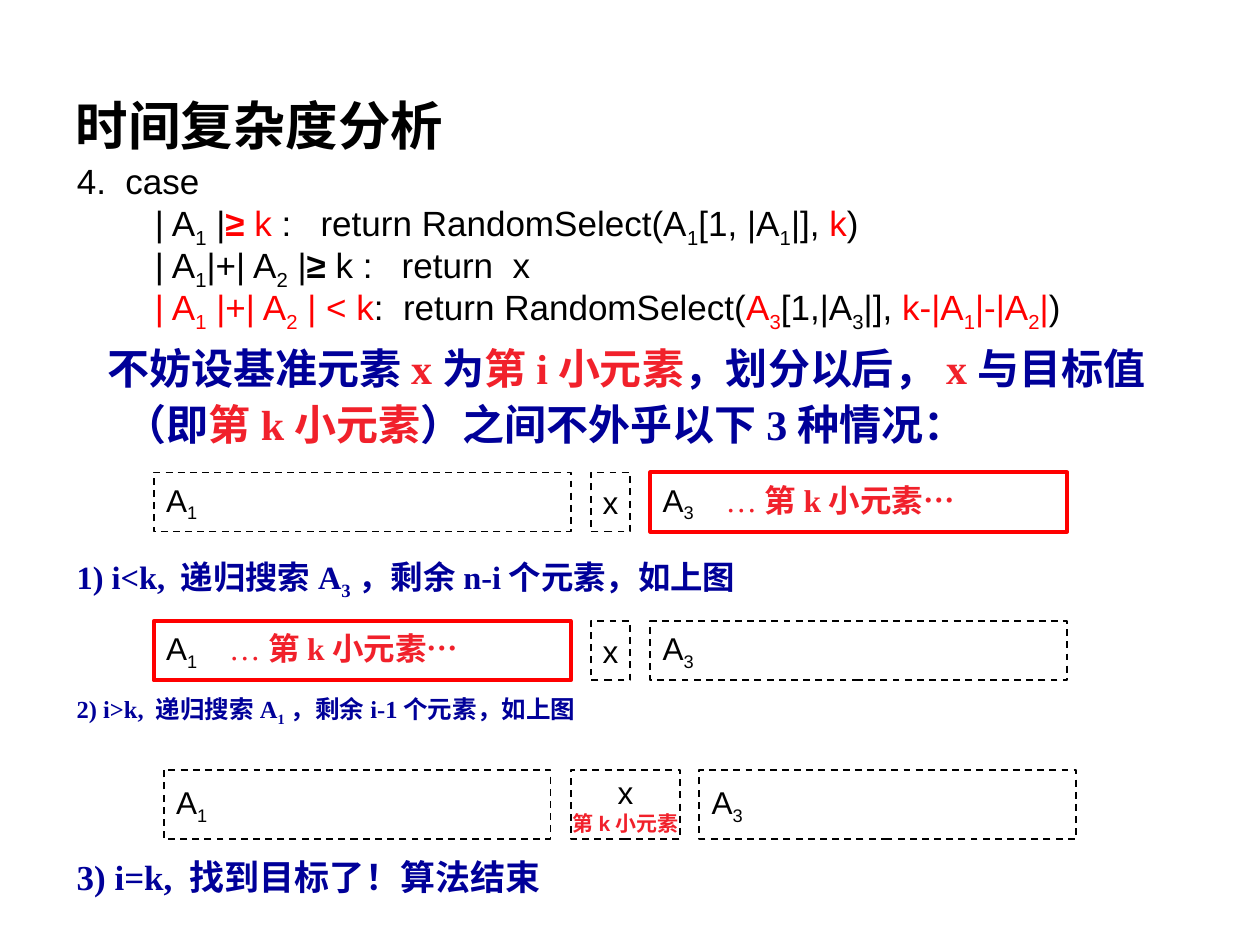
from lxml import etree
from pptx import Presentation, util as u
from pptx.dml.color import RGBColor
from pptx.enum import dml, shapes, text
from pptx.oxml.ns import qn

BLACK, RED, CRIMSON, NAVY = "000000", "FF0000", "F1212B", "000099"
ARIAL, TIMES, CJK = "Arial", "Times New Roman", "Noto Sans CJK SC"


def color(value):
    return RGBColor.from_string(value)


def write(p, runs, size=18, font=ARIAL, fill=BLACK, bold=False, left=0, indent=0,
          spacing=1.0, before=0, align=text.PP_ALIGN.LEFT, tab=None):
    p.alignment = align
    p.line_spacing = spacing
    p.space_before = u.Pt(before)
    pPr = p._p.get_or_add_pPr()
    pPr.set("marL", str(u.Inches(left)))
    pPr.set("indent", str(u.Inches(indent)))
    etree.SubElement(pPr, qn("a:buNone"))
    if tab:
        tabs = etree.SubElement(pPr, qn("a:tabLst"))
        etree.SubElement(tabs, qn("a:tab"), pos=str(u.Inches(tab)), algn="l")
    for item in runs:
        words, own = item if isinstance(item, tuple) else (item, {})
        if words == "\n":
            p.add_line_break()
            continue
        r = p.add_run()
        r.text = words
        r.font.size = u.Pt(own.get("size", size))
        r.font.name = own.get("font", font)
        r.font.bold = own.get("bold", bold)
        r.font.color.rgb = color(own.get("fill", fill))
        rPr = r._r.get_or_add_rPr()
        etree.SubElement(rPr, qn("a:ea"), typeface=CJK)
        if own.get("sub"):
            rPr.set("baseline", "-25000")


prs = Presentation()
prs.slide_width, prs.slide_height = u.Inches(10), u.Inches(7.5)
s = prs.slides.add_slide(prs.slide_layouts[1])
title, body = s.placeholders
for sp, box, anchor in [
    (title, (0.5, 0.59, 9, 0.79), text.MSO_ANCHOR.MIDDLE),
    (body, (0.51, 1.31, 8.82, 2.44), text.MSO_ANCHOR.TOP),
]:
    sp.left, sp.top, sp.width, sp.height = map(u.Inches, box)
    sp.text_frame.vertical_anchor = anchor
    sp.text_frame.auto_size = text.MSO_AUTO_SIZE.NONE
write(title.text_frame.paragraphs[0], ["时间复杂度分析"], size=30, bold=True)

red, crimson = {"fill": RED}, {"fill": CRIMSON}
one, two, three = [(n, {"sub": True}) for n in "123"]
red1, red2, red3 = [(n, {"sub": True, "fill": RED}) for n in "123"]
code = {"size": 20, "spacing": 0.7, "before": 5}
nested = {**code, "left": 0.62}
lines = [
    (["4.  case"], code),
    (["| A", one, " |", ("≥", {"fill": RED, "bold": True}), (" k", red),
      " :   return RandomSelect(A", one, "[1, |A", one, "|], ", ("k", red), ")"], nested),
    (["| A", one, "|+| A", two, " |", ("≥", {"bold": True}), " k :   return  x"], nested),
    ([("| A", red), red1, (" |+| A", red), red2, (" | < k", red), ":  return RandomSelect(",
      ("A", red), red3, "[1,|A", three, "|], ", ("k-|A", red), red1, ("|-|A", red), red2,
      ("|", red), ")"], nested),
    (["不妨设基准元素", ("x", crimson), "为", ("第i小元素", crimson), "，划分以后，",
      ("x", crimson), "与目标值（即", ("第k小元素", crimson), "）之间不外乎以下3种情况："],
     {"size": 24, "font": TIMES, "fill": NAVY, "bold": True, "left": 0.38,
      "indent": -0.14, "spacing": 1.1, "before": 6}),
]
tf = body.text_frame
for i, (runs, style) in enumerate(lines):
    write(tf.add_paragraph() if i else tf.paragraphs[0], runs, **style)

target = ["\t", ("…", {"font": TIMES, "fill": CRIMSON}),
          ("第k小元素…", {"font": TIMES, "fill": CRIMSON, "bold": True})]
found = ["\n", ("第k小元素", {"size": 12, "fill": CRIMSON, "bold": True})]
wide = [(1.22, 3.31), (4.69, 0.31), (5.16, 3.31)]
narrow = [(1.3, 3.07), (4.53, 0.87), (5.55, 2.99)]
rows = [(3.75, 0.47, wide, 2), (4.93, 0.47, wide, 0), (6.11, 0.55, narrow, 1)]
for top, height, columns, hit in rows:
    group = s.shapes.add_group_shape()
    for i, (left, width) in enumerate(columns):
        middle = i == 1
        marked = i == hit and not middle
        sp = group.shapes.add_shape(shapes.MSO_SHAPE.RECTANGLE, *map(u.Inches, (left, top, width, height)))
        sp.shadow.inherit = False
        sp.fill.background()
        sp.line.color.rgb = color(RED if marked else BLACK)
        sp.line.width = u.Pt(2.25 if marked else 1)
        if not marked:
            sp.line.dash_style = dml.MSO_LINE.DASH
        tf = sp.text_frame
        tf.word_wrap = not middle
        tf.vertical_anchor = text.MSO_ANCHOR.MIDDLE
        runs = ["x"] if middle else ["A", three if i else one]
        if i == hit:
            runs = runs + (found if middle else target)
        write(tf.paragraphs[0], runs, tab=0.75 if marked else None,
              align=text.PP_ALIGN.CENTER if middle else text.PP_ALIGN.LEFT)

cases = [
    (4.38, 0.47, 18.5, 0.9, ["1) i<k, 递归搜索A", three, "，剩余n-i个元素，如上图"]),
    (5.48, 0.39, 14, 0.8, ["2) i>k, 递归搜索A", one, "，剩余i-1个元素，如上图"]),
    (6.74, 0.47, 20, 1.0, ["3) i=k, 找到目标了！算法结束"]),
]
for top, height, size, spacing, runs in cases:
    tf = s.shapes.add_textbox(*map(u.Inches, (0.51, top, 8.19, height))).text_frame
    tf.word_wrap = True
    write(tf.paragraphs[0], runs, size=size, font=TIMES, fill=NAVY, bold=True,
          left=0.38, indent=-0.38, spacing=spacing, before=5)

prs.save("out.pptx")
